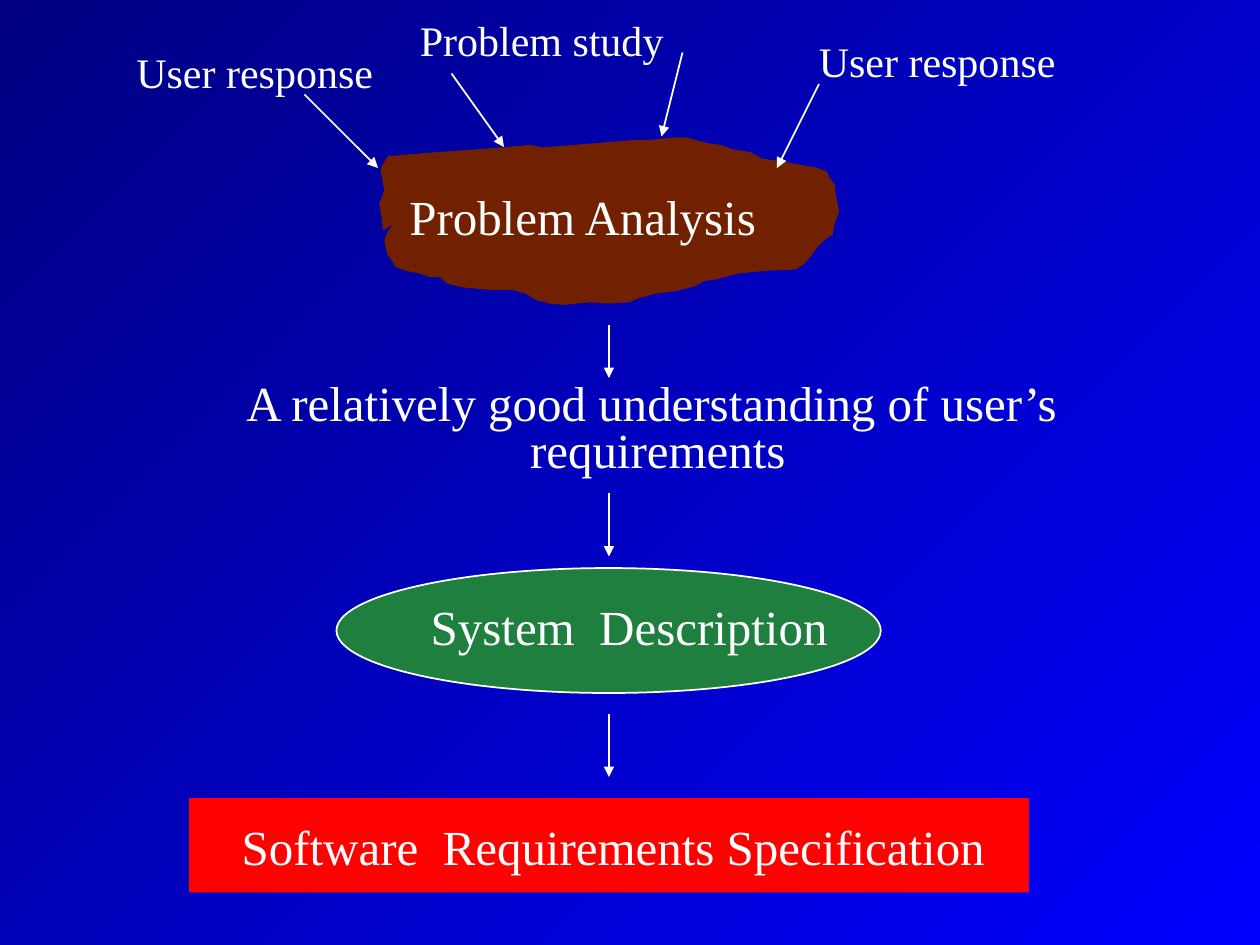
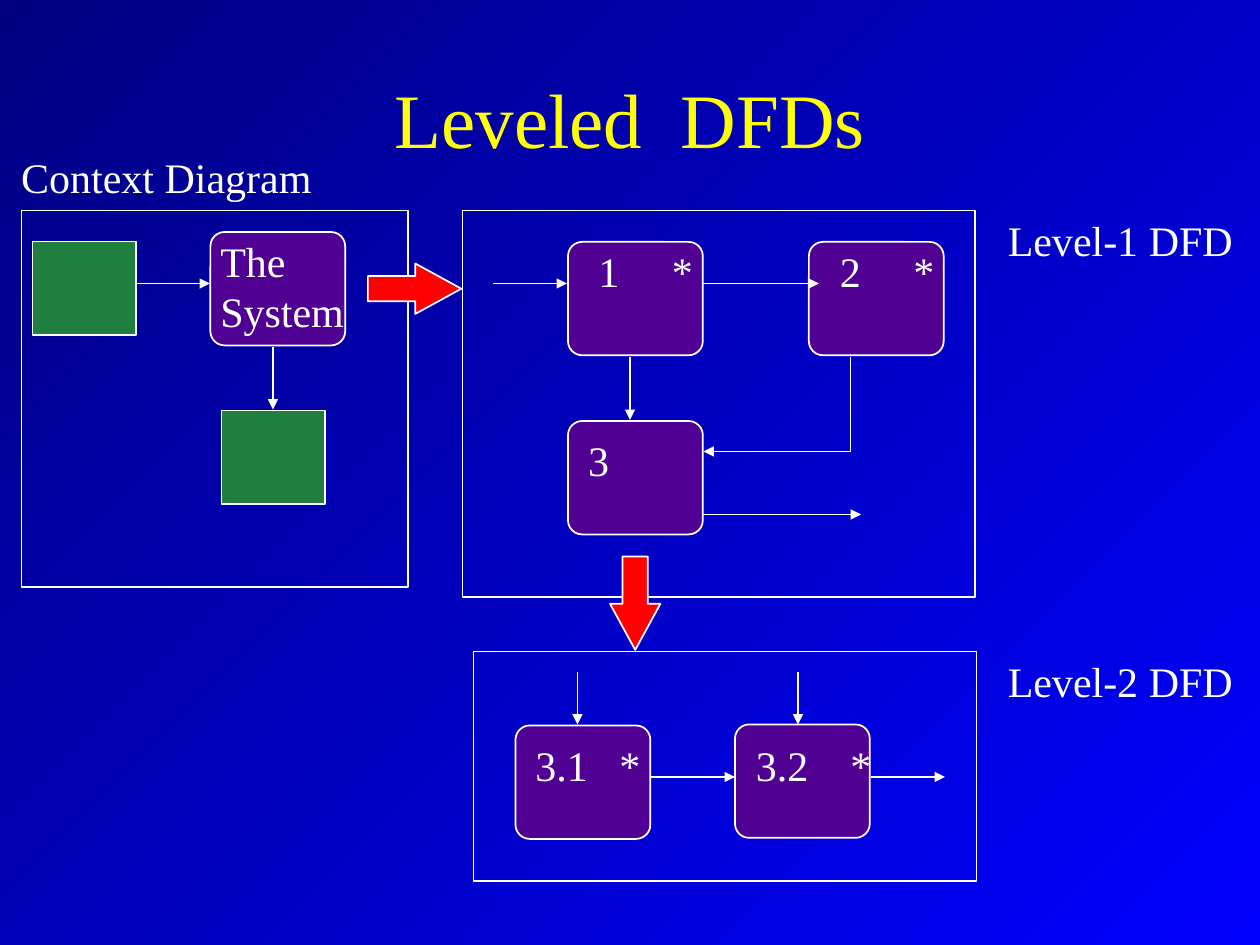
from lxml import etree
from pptx import Presentation
from pptx.dml.color import RGBColor
from pptx.enum.shapes import MSO_CONNECTOR, MSO_SHAPE
from pptx.enum.text import MSO_ANCHOR, MSO_AUTO_SIZE, PP_ALIGN
from pptx.oxml.ns import qn
from pptx.util import Inches, Pt

WIDE, HIGH = Inches(10), Inches(7.5)
COLS, ROWS = 120, 90
FONT = "Times New Roman"
WHITE = RGBColor(255, 255, 255)
YELLOW = RGBColor(255, 255, 0)
NAVY = RGBColor(0, 0, 128)
BLUE = RGBColor(0, 0, 255)
BROWN = RGBColor(0x71, 0x20, 0x00)
GREEN = RGBColor(0x1F, 0x7F, 0x3F)
RED = RGBColor(0xFF, 0x01, 0x00)
PURPLE = RGBColor(0x50, 0x00, 0x93)
RECT, ROUND, OVAL = MSO_SHAPE.RECTANGLE, MSO_SHAPE.ROUNDED_RECTANGLE, MSO_SHAPE.OVAL
RIGHT, DOWN = MSO_SHAPE.RIGHT_ARROW, MSO_SHAPE.DOWN_ARROW
STRAIGHT = MSO_CONNECTOR.STRAIGHT
LEFT, CENTER = PP_ALIGN.LEFT, PP_ALIGN.CENTER
TOP, MIDDLE = MSO_ANCHOR.TOP, MSO_ANCHOR.MIDDLE
FIT, FIXED = MSO_AUTO_SIZE.SHAPE_TO_FIT_TEXT, MSO_AUTO_SIZE.NONE

CLOUD = [
    (312, 178), (307, 185), (305, 191), (306, 196), (307, 201), (311, 207),
    (314, 212), (322, 215), (333, 217), (341, 220), (349, 220), (355, 225),
    (366, 228), (387, 230), (406, 230), (417, 233), (425, 238), (436, 241),
    (447, 242), (468, 240), (483, 241), (499, 240), (506, 237), (521, 233),
    (537, 231), (552, 227), (559, 223), (567, 222), (587, 217), (608, 215),
    (631, 214), (638, 210), (643, 204), (649, 196), (654, 191), (661, 186),
    (662, 179), (666, 168), (663, 152), (663, 147), (659, 142), (656, 136),
    (648, 133), (636, 131), (621, 128), (605, 126), (596, 121), (580, 118),
    (572, 115), (563, 114), (544, 109), (537, 109), (516, 111), (505, 111),
    (469, 114), (430, 117), (422, 115), (386, 118), (344, 121), (308, 124),
    (304, 130), (302, 135), (305, 151), (301, 162), (303, 173), (304, 183),
]


def col(n):
    return round(WIDE * n / COLS)


def row(n):
    return round(HIGH * n / ROWS)


def area(x, y, w, h):
    return col(x), row(y), col(w), row(h)


def paint(shape, fill, edge=True):
    shape.shadow.inherit = False
    if fill is None:
        shape.fill.background()
    else:
        shape.fill.solid()
        shape.fill.fore_color.rgb = fill
    if edge:
        shape.line.color.rgb = WHITE
        shape.line.width = Pt(1)
    else:
        shape.line.fill.background()


def block(slide, kind, box, fill=None, edge=True, adjust=()):
    shape = slide.shapes.add_shape(kind, *area(*box))
    paint(shape, fill, edge)
    for i, value in enumerate(adjust):
        shape.adjustments[i] = value


def node(slide, x, y):
    block(slide, ROUND, (x, y, 12.84, 10.8), PURPLE, adjust=[0.125])


def entity(slide, x, y):
    block(slide, RECT, (x, y, 9.84, 8.9), GREEN)


def cloud(slide):
    maker = slide.shapes.build_freeform(*CLOUD[0], scale=WIDE / 1000)
    maker.add_line_segments(CLOUD[1:], close=True)
    paint(maker.convert_to_shape(), BROWN, False)


def link(slide, x1, y1, x2, y2, tip=True):
    line = slide.shapes.add_connector(STRAIGHT, col(x1), row(y1), col(x2), row(y2))
    line.line.color.rgb = WHITE
    line.line.width = Pt(1)
    props = line._element.spPr
    if tip:
        etree.SubElement(props.get_or_add_ln(), qn("a:tailEnd"), type="triangle")
    etree.SubElement(props, qn("a:effectLst"))


def label(slide, text, box, size=24, color=WHITE, align=LEFT, space=None,
          wrap=False, anchor=TOP, tab=None):
    shape = slide.shapes.add_textbox(*area(*box))
    frame = shape.text_frame
    frame.text = text
    frame.word_wrap = wrap
    frame.auto_size = FIXED if wrap else FIT
    frame.vertical_anchor = anchor
    for para in frame.paragraphs:
        para.alignment = align
        if space:
            para.line_spacing = space
        if tab:
            stops = etree.SubElement(para._p.get_or_add_pPr(), qn("a:tabLst"))
            etree.SubElement(stops, qn("a:tab"), pos=str(col(tab)), algn="l")
        for run in para.runs:
            run.font.name = FONT
            run.font.size = Pt(size)
            run.font.color.rgb = color


def backdrop(deck):
    fill = deck.slide_master.background.fill
    fill.gradient()
    fill.gradient_angle = 315
    for stop, color, place in zip(fill.gradient_stops, (NAVY, BLUE), (0, 1)):
        stop.color.rgb = color
        stop.position = place


def process(slide):
    cloud(slide)
    block(slide, OVAL, (32.04, 54.1, 51.84, 11.9), GREEN)
    block(slide, RECT, (18, 76, 80, 9), RED, False)
    for ends in [(29, 9, 36, 16), (43, 7, 48, 14), (65, 5, 63, 13), (78, 8, 74, 16)]:
        link(slide, *ends)
    for start, end in [(31, 36), (47, 53), (68, 74)]:
        link(slide, 58, start, 58, end)
    for text, x, y, w in [
        ("User response", 76.8, 2.76, 25),
        ("User response", 11.8, 3.84, 25),
        ("Problem study", 38.8, 0.84, 25.6),
    ]:
        label(slide, text, (x, y, w, 6))
    for text, x, y, w in [
        ("Problem Analysis", 37.8, 17.2, 35.6),
        ("System  Description", 39.84, 56.2, 40.2),
        ("Software  Requirements Specification", 21.84, 77.2, 73.2),
    ]:
        label(slide, text, (x, y, w, 6.7), 28)
    label(slide, "A relatively good understanding of user’s \nrequirements",
          (22.1, 36, 81.1, 10.1), 28, align=CENTER, space=0.8)


def levels(slide):
    label(slide, "Leveled  DFDs", (9, 3.7, 102, 15), 44, YELLOW, CENTER,
          wrap=True, anchor=MIDDLE)
    for frame in [(2.04, 20.04, 36.84, 35.9), (44.04, 20.04, 48.84, 36.84),
                  (45.1, 62.04, 47.9, 21.84)]:
        block(slide, RECT, frame)
    for spot in [(20.04, 22.1), (54.1, 23.04), (77.04, 23.04), (54.1, 40.1),
                 (49.1, 69.1), (70, 69)]:
        node(slide, *spot)
    for spot in [(3.1, 23), (21.1, 39.1)]:
        entity(slide, *spot)
    block(slide, RIGHT, (35.04, 25.1, 8.9, 4.8), RED, adjust=[0.5, 0.914])
    block(slide, DOWN, (58.1, 53, 4.8, 8.9), RED, adjust=[0.5, 0.914])
    for ends in [
        (13, 27, 20, 27), (26, 33, 26, 39), (47, 27, 54, 27), (67, 27, 78, 27),
        (60, 34, 60, 40), (81, 43, 67, 43), (67, 49, 82, 49), (55, 64, 55, 69),
        (76, 64, 76, 69), (62, 74, 70, 74), (83, 74, 90, 74),
    ]:
        link(slide, *ends)
    link(slide, 81, 34, 81, 43, False)
    for text, x, y, w in [
        ("Context Diagram", 0.84, 13.8, 34),
        ("Level-1 DFD", 94.8, 19.8, 25),
        ("Level-2 DFD", 94.8, 61.8, 25),
        ("3", 54.84, 40.8, 6),
    ]:
        label(slide, text, (x, y, w, 6), wrap=True)
    label(slide, "The\nSystem", (19.8, 21.8, 16, 10.8), wrap=True)
    for text, x, y, tab in [
        ("1\t*", 55.8, 22.8, 7), ("2\t*", 78.8, 22.8, 7),
        ("3.1\t*", 49.8, 69.8, 8), ("3.2\t*", 70.8, 69.8, 9),
    ]:
        label(slide, text, (x, y, 14.5, 6), wrap=True, tab=tab)


def main():
    deck = Presentation()
    deck.slide_width, deck.slide_height = WIDE, HIGH
    backdrop(deck)
    for draw in (process, levels):
        draw(deck.slides.add_slide(deck.slide_layouts[6]))
    deck.save("out.pptx")


if __name__ == "__main__":
    main()
